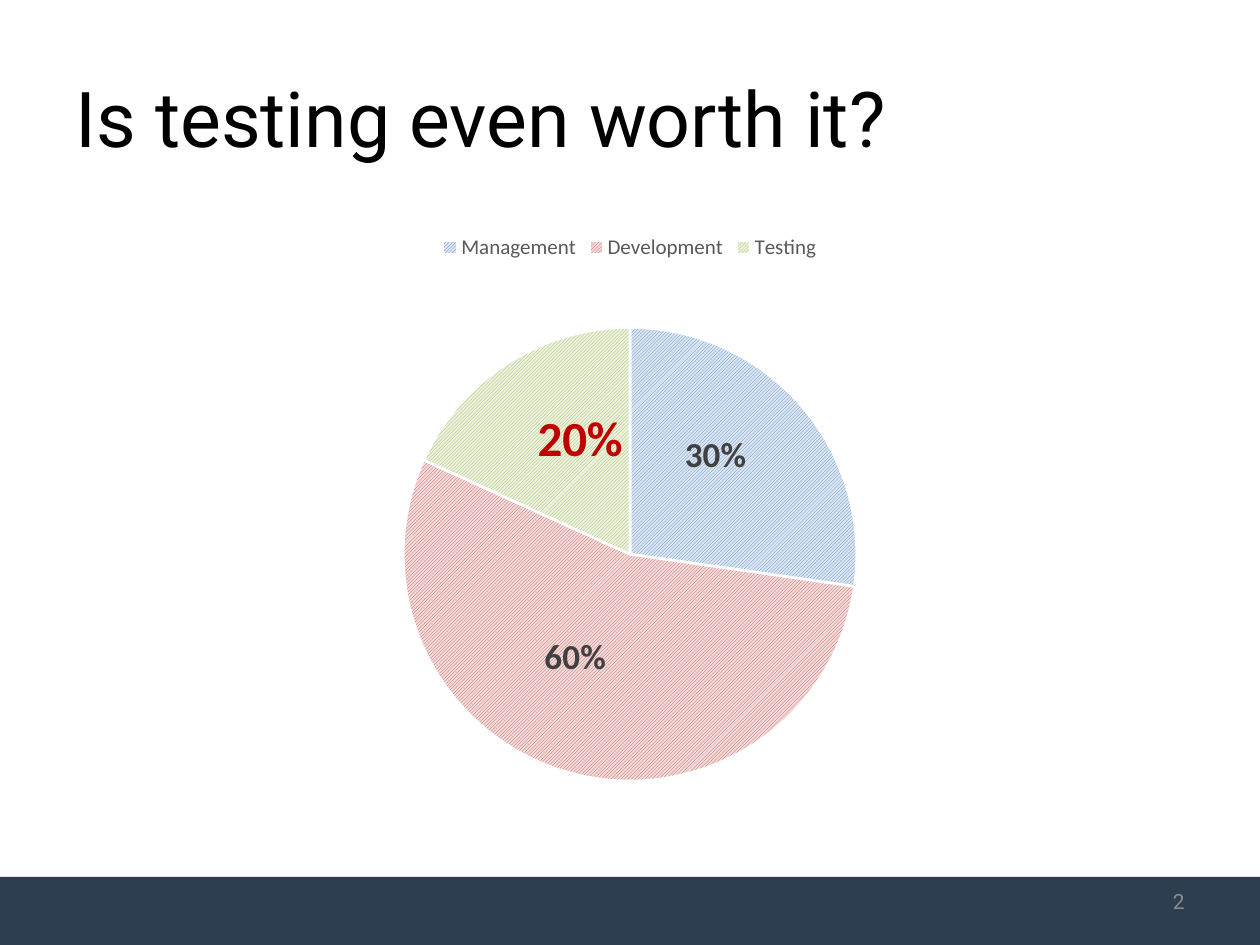
from lxml import etree
from pptx import Presentation
from pptx import util as u
from pptx.chart.data import CategoryChartData
from pptx.dml.color import RGBColor
from pptx.enum import chart as ch, dml, shapes, text
from pptx.oxml.ns import qn

COLORS = {
    "footer": "2C3E50", "title": "000000", "number": "8C8C8C",
    "legend": "595959", "label": "404040", "accent": "C00000",
    "border": "FFFFFF",
}


def style(font, name, size, color, bold=False):
    font.name, font.size, font.bold = name, u.Pt(size), bold
    font.color.rgb = RGBColor.from_string(COLORS[color])


def add_layout(parent, index, **values):
    """Insert a manual chart layout as child number index."""
    layout = etree.Element(qn("c:layout"))
    manual = etree.SubElement(layout, qn("c:manualLayout"))
    for tag, value in values.items():
        etree.SubElement(manual, qn(f"c:{tag}")).set("val", str(value))
    parent.insert(index, layout)


prs = Presentation()
prs.slide_width, prs.slide_height = u.Cm(25.4), u.Cm(19.05)
slide = prs.slides.add_slide(prs.slide_layouts[6])

# Footer band
footer = slide.shapes.add_shape(
    shapes.MSO_SHAPE.RECTANGLE, u.Cm(0), u.Cm(17.68), u.Cm(25.4), u.Cm(1.42))
footer.shadow.inherit = False
footer.fill.solid()
footer.fill.fore_color.rgb = RGBColor.from_string(COLORS["footer"])
footer.line.fill.background()

# Title and slide number
for words, box, size, color, align in [
    ("Is testing even worth it?", (1.27, 0.76, 22.86, 3.18), 44, "title",
     text.PP_ALIGN.LEFT),
    ("2", (18.21, 17.65, 5.92, 1.02), 12, "number", text.PP_ALIGN.RIGHT),
]:
    frame = slide.shapes.add_textbox(*map(u.Cm, box)).text_frame
    frame.word_wrap = True
    frame.vertical_anchor = text.MSO_ANCHOR.MIDDLE
    line = frame.paragraphs[0]
    line.text, line.alignment = words, align
    style(line.font, "Roboto", size, color)
line.space_after = u.Pt(6)

# Effort pie
effort = CategoryChartData(number_format="0%")
effort.categories = ["Management", "Development", "Testing"]
effort.add_series("Series 1", [0.3, 0.6, 0.2])
pie = slide.shapes.add_chart(
    ch.XL_CHART_TYPE.PIE, u.Cm(1.27), u.Cm(4.45), u.Cm(22.86), u.Cm(12.57),
    effort).chart
pie.has_title = False
style(pie.font, "Calibri", 10, "title")
pie.has_legend = True
pie.legend.position = ch.XL_LEGEND_POSITION.TOP
pie.legend.include_in_layout = False
style(pie.legend.font, "Calibri", 12, "legend")

plot = pie.plots[0]
plot.vary_by_categories = True
plot_area = plot._element.getparent()
for old in plot_area.findall(qn("c:layout")):
    plot_area.remove(old)
add_layout(plot_area, 0, layoutTarget="inner", xMode="edge", yMode="edge",
           x=0.3, y=0.17, w=0.4, h=0.73)

# Hatched slices with their labels
slices = [  # hatch, ground, label size, label colour, label shift
    ("4F81BD", "DCE6F2", 20, "label", (0, -0.04)),
    ("C0504D", "F2DCDB", 20, "label", (-0.02, -0.01)),
    ("9BBB59", "EBF1DE", 28, "accent", (0.01, -0.03)),
]
for i, (hatch, ground, size, color, (dx, dy)) in enumerate(slices):
    point = plot.series[0].points[i]
    fill = point.format.fill
    fill.patterned()
    fill.pattern = dml.MSO_PATTERN.LIGHT_UPWARD_DIAGONAL
    fill.fore_color.rgb = RGBColor.from_string(hatch)
    fill.back_color.rgb = RGBColor.from_string(ground)
    point.format.line.color.rgb = RGBColor.from_string(COLORS["border"])
    point.format.line.width = u.Pt(1.5)
    style(point.data_label.font, "Calibri", size, color, bold=True)
    point.data_label.position = ch.XL_LABEL_POSITION.CENTER
    label = plot.series[0]._element.findall(f".//{qn('c:dLbl')}")[i]
    add_layout(label, 1, x=dx, y=dy)

prs.save("out.pptx")
